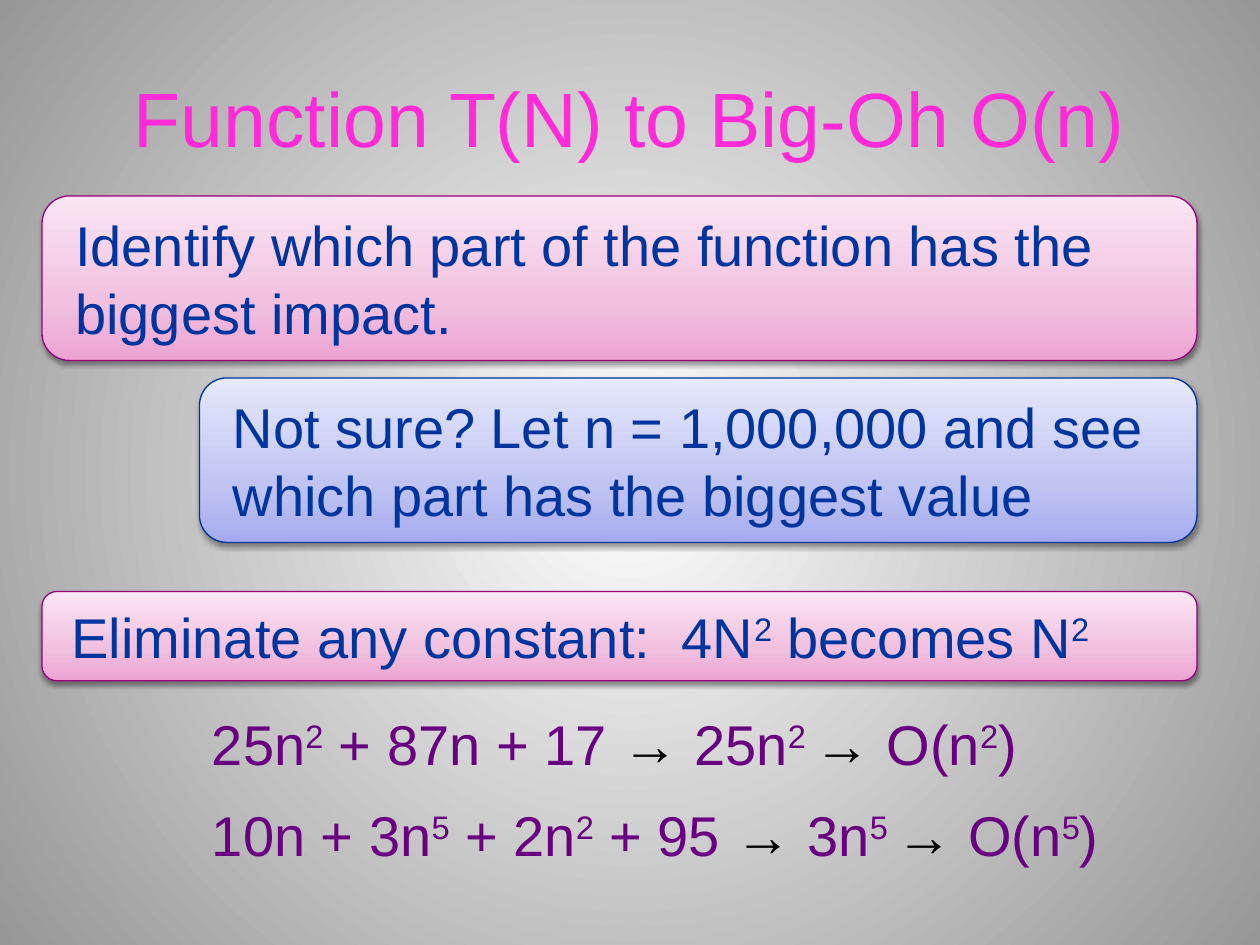
from itertools import groupby

from lxml import etree
from pptx import Presentation
from pptx.dml.color import RGBColor
from pptx.enum.shapes import MSO_SHAPE
from pptx.enum.text import MSO_ANCHOR, MSO_AUTO_SIZE, PP_ALIGN
from pptx.oxml import parse_xml
from pptx.oxml.ns import nsdecls, qn
from pptx.util import Pt

COLOURS = {
    "title": "FF2BD8",
    "body": "00349E",
    "formula": "68007F",
    "arrow": "000000",
    "shadow": "000000",
}
BACKGROUND = [(0, "FFFFFF"), (100, "979797")]
# Box themes: line colour and gradient stops from bottom to top
PINK = ("99007C", [(0, "EDA4D3"), (35, "F1C0DF"), (100, "FBE6F3")])
BLUE = ("00339B", [(0, "A4AAEF"), (35, "C0C4F2"), (100, "E6E8FB")])
RADIAL = ('<a:path path="circle"><a:fillToRect l="50000" t="50000" '
          'r="50000" b="50000"/></a:path>')
UPWARD = '<a:lin ang="16200000" scaled="0"/>'


def rgb(colour):
    return RGBColor.from_string(colour)


def set_gradient(properties, stops, direction):
    """Replace the solid fill of a properties element by a gradient."""
    stop_xml = "".join(
        f'<a:gs pos="{position * 1000}"><a:srgbClr val="{colour}"/></a:gs>'
        for position, colour in stops)
    gradient = parse_xml(f'<a:gradFill {nsdecls("a")} rotWithShape="1">'
                         f'<a:gsLst>{stop_xml}</a:gsLst>{direction}</a:gradFill>')
    properties.replace(properties.find(qn("a:solidFill")), gradient)


class SlideBuilder:
    font_name = "Arial"
    title_size = Pt(44)
    body_size = Pt(32)

    def __init__(self, slide):
        self.slide = slide

    def background(self, stops):
        self.slide.background.fill.solid()
        set_gradient(self.slide.element.find(".//" + qn("p:bgPr")), stops, RADIAL)

    def place(self, shape, left, top, width, height):
        shape.left, shape.top = Pt(left), Pt(top)
        shape.width, shape.height = Pt(width), Pt(height)

    def style(self, paragraph, size, colour):
        paragraph.font.name = self.font_name
        paragraph.font.size = size
        paragraph.font.color.rgb = rgb(colour)

    def title(self, text, *bounds):
        shape = self.slide.shapes.title
        self.place(shape, *bounds)
        shape.text_frame.text = text
        shape.text_frame.vertical_anchor = MSO_ANCHOR.MIDDLE
        paragraph = shape.text_frame.paragraphs[0]
        paragraph.alignment = PP_ALIGN.CENTER
        self.style(paragraph, self.title_size, COLOURS["title"])

    def fill_text(self, frame, markup, colour):
        """Fill a frame; text between a pair of ^ marks is superscript."""
        frame.word_wrap = True
        frame.auto_size = MSO_AUTO_SIZE.SHAPE_TO_FIT_TEXT
        paragraph = frame.paragraphs[0]
        paragraph.alignment = PP_ALIGN.LEFT
        self.style(paragraph, self.body_size, colour)
        for index, piece in enumerate(markup.split("^")):
            for is_arrow, characters in groupby(piece, lambda c: c == "→"):
                run = paragraph.add_run()
                run.text = "".join(characters)
                run.font.color.rgb = rgb(COLOURS["arrow"] if is_arrow else colour)
                if index % 2:
                    run.font._element.set("baseline", "30000")
        return paragraph

    def box(self, markup, theme, *bounds):
        line_colour, stops = theme
        shape = self.slide.shapes.add_shape(
            MSO_SHAPE.ROUNDED_RECTANGLE, *(Pt(value) for value in bounds))
        shape.fill.solid()
        set_gradient(shape._element.spPr, stops, UPWARD)
        shape.line.color.rgb = rgb(line_colour)
        shape.line.width = Pt(0.75)
        self.add_shadow(shape)
        frame = shape.text_frame
        frame.vertical_anchor = MSO_ANCHOR.MIDDLE
        frame.margin_left = Pt(14.4)
        paragraph = self.fill_text(frame, markup, COLOURS["body"])
        paragraph.space_before = Pt(6.4)

    def add_shadow(self, shape):
        shape.shadow.inherit = False
        effects = shape._element.spPr.find(qn("a:effectLst"))
        shadow = etree.SubElement(
            effects, qn("a:outerShdw"), blurRad=str(Pt(3.1)), dist=str(Pt(1.6)),
            dir="5400000", rotWithShape="0")
        colour = etree.SubElement(shadow, qn("a:srgbClr"), val=COLOURS["shadow"])
        etree.SubElement(colour, qn("a:alpha"), val="38000")

    def formula(self, markup, *bounds):
        shape = self.slide.shapes.add_textbox(*(Pt(value) for value in bounds))
        self.fill_text(shape.text_frame, markup, COLOURS["formula"])


def main():
    presentation = Presentation()
    presentation.slide_width, presentation.slide_height = Pt(720), Pt(540)
    builder = SlideBuilder(
        presentation.slides.add_slide(presentation.slide_layouts[5]))
    builder.background(BACKGROUND)
    builder.title("Function T(N) to Big-Oh O(n)", 36, 21.6, 648, 90)

    # Rules in boxes, all ending at the same right edge
    left, indent, right = 24, 114, 684
    rules = [
        ("Identify which part of the function has the biggest impact.",
         PINK, left, 112, 94),
        ("Not sure? Let n = 1,000,000 and see which part has the biggest value",
         BLUE, indent, 216, 94),
        ("Eliminate any constant:  4N^2^ becomes N^2^", PINK, left, 338, 51),
    ]
    for markup, theme, start, top, height in rules:
        builder.box(markup, theme, start, top, right - start, height)

    # Worked examples
    examples = [
        "25n^2^ + 87n + 17 → 25n^2 ^→ O(n^2^)",
        "10n + 3n^5^ + 2n^2^ + 95 → 3n^5 ^→ O(n^5^)",
    ]
    for row, markup in enumerate(examples):
        builder.formula(markup, indent, 402 + 52 * row, 552, 46)

    presentation.save("out.pptx")


if __name__ == "__main__":
    main()
